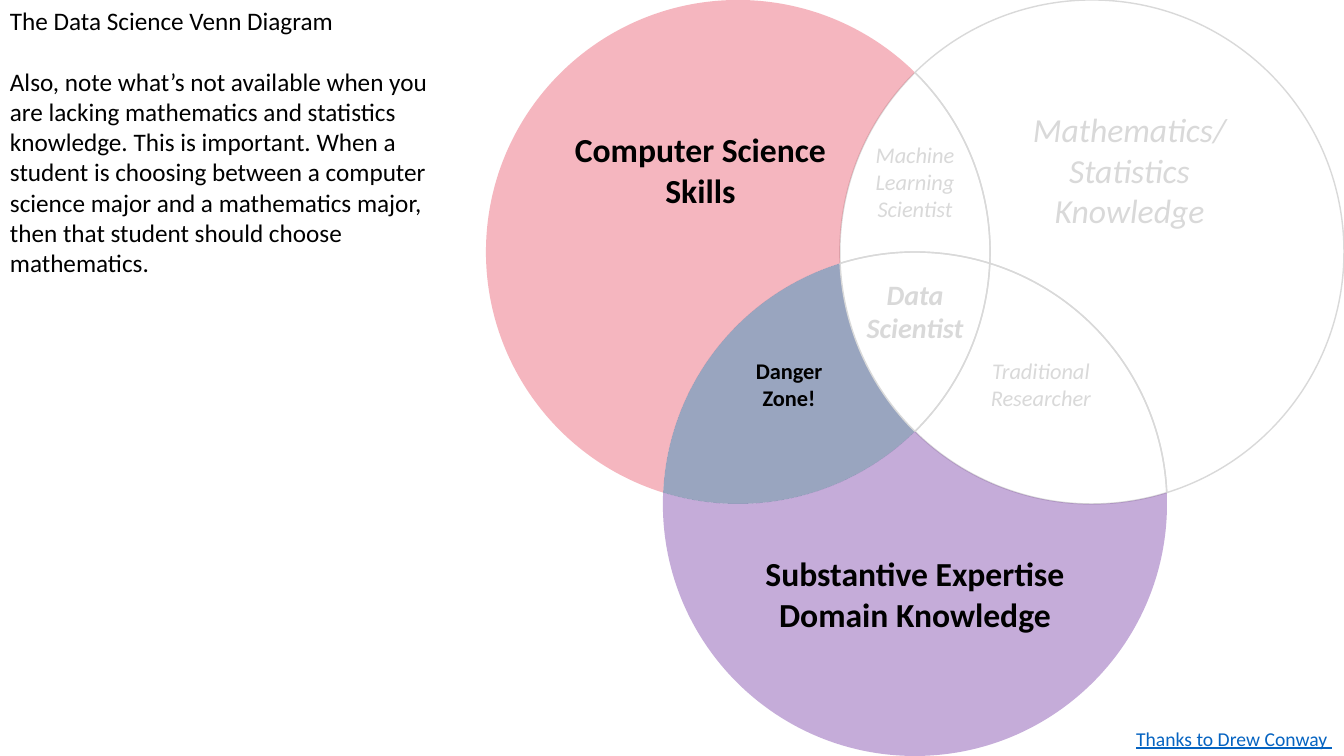
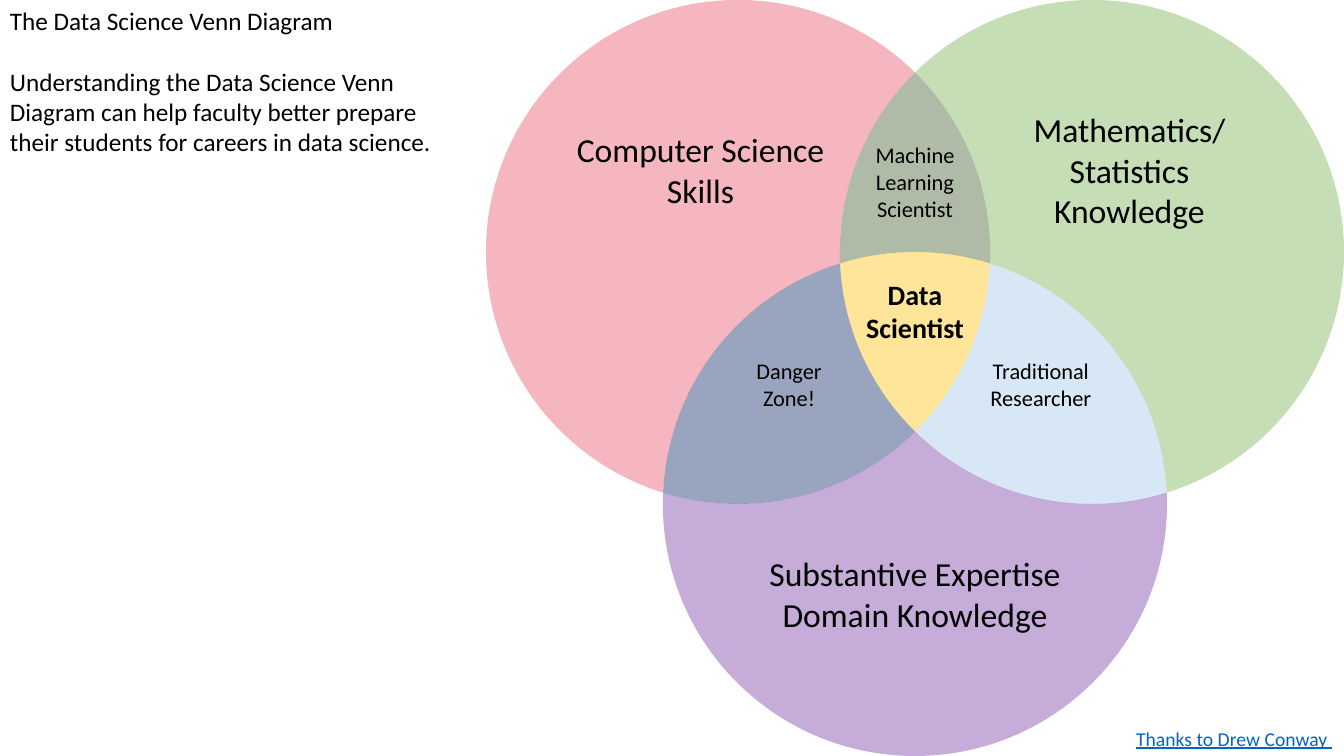
from collections import namedtuple
from itertools import pairwise
from math import atan2, cos, hypot, pi, sin, sqrt, tan

from lxml.etree import SubElement
from pptx import Presentation
from pptx.dml.color import RGBColor
from pptx.enum.text import MSO_ANCHOR as Anchor, PP_ALIGN as Align
from pptx.oxml.ns import qn
from pptx.util import Inches, Pt

FONT = "Calibri"
COLORS = {
    "text": "000000",
    "faded": "D9D9D9",
    "link": "0563C1",
    "machine": "385723",
    "research": "9DC3E6",
    "danger": "002060",
    "computing": "E64A60",
    "mathematics": "70AD47",
    "data": "FFC000",
    "domain": "7030A0",
}
OPACITY = 40
CLOCKWISE, COUNTER = 1, -1

Box = namedtuple("Box", "left top width height")
Region = namedtuple("Region", "name lines size arcs above below bold",
                    defaults=(0, 0, False))

DIAGRAM = Box(4.82, 0, 8.51, 7.5)
CREDIT = Box(11.17, 7.16, 2.16, 0.34)

# Each arc: starting corner, circle it follows, direction; it ends where the next starts.
REGIONS = [
    Region("machine", ["Machine", "Learning", "Scientist"], 16,
           [("top", "left", CLOCKWISE), ("inner right", "bottom", COUNTER),
            ("inner left", "right", CLOCKWISE)], above=0.27),
    Region("research", ["Traditional", "Researcher"], 16,
           [("inner right", "bottom", CLOCKWISE), ("outer right", "right", CLOCKWISE),
            ("inner bottom", "left", COUNTER)]),
    Region("danger", ["Danger", "Zone!"], 16,
           [("inner left", "right", COUNTER), ("inner bottom", "left", CLOCKWISE),
            ("outer left", "bottom", CLOCKWISE)]),
    Region("computing", ["Computer Science", "Skills"], 24,
           [("outer left", "left", CLOCKWISE), ("top", "right", COUNTER),
            ("inner left", "bottom", COUNTER)], below=1.52),
    Region("mathematics", ["Mathematics/", "Statistics", "Knowledge"], 24,
           [("top", "right", CLOCKWISE), ("outer right", "bottom", COUNTER),
            ("inner right", "left", COUNTER)], below=1.52),
    Region("data", ["Data", "Scientist"], 20,
           [("inner left", "bottom", CLOCKWISE), ("inner right", "left", CLOCKWISE),
            ("inner bottom", "right", CLOCKWISE)], below=0.61, bold=True),
    Region("domain", ["Substantive Expertise", "Domain Knowledge"], 24,
           [("inner bottom", "right", COUNTER), ("outer right", "bottom", CLOCKWISE),
            ("outer left", "left", COUNTER)]),
]
ALL_REGIONS = {region.name for region in REGIONS}


def rgb(name):
    return RGBColor.from_string(COLORS[name])


def add_text(para, text, size, color="text", bold=False, italic=False, underline=False):
    span = para.add_run()
    span.text = text
    font = span.font
    font.name, font.size = FONT, Pt(size)
    font.bold, font.italic, font.underline = bold, italic, underline
    font.color.rgb = rgb(color)


def add_text_box(page, box, wrap=True):
    frame = page.shapes.add_textbox(*(Inches(length) for length in box)).text_frame
    frame.word_wrap = wrap
    return frame


def crossings(first, second, radius):
    """Return the inner and outer crossing of two circles taken in clockwise order."""
    dx, dy = second[0] - first[0], second[1] - first[1]
    distance = hypot(dx, dy)
    reach = sqrt(radius ** 2 - distance ** 2 / 4) / distance
    middle_x, middle_y = (first[0] + second[0]) / 2, (first[1] + second[1]) / 2
    return [(middle_x - side * reach * dy, middle_y + side * reach * dx)
            for side in (1, -1)]


def venn_geometry(box):
    """Return radius, circle centres and named corners of three circles filling the box."""
    radius = box.height / 3
    upper = box.top + radius
    centers = {
        "left": (box.left + radius, upper),
        "right": (box.left + box.width - radius, upper),
        "bottom": (box.left + box.width / 2, box.top + 2 * radius),
    }
    left, right, bottom = centers.values()
    corners = {}
    for inner, outer, pair in (("inner bottom", "top", (left, right)),
                               ("inner left", "outer right", (right, bottom)),
                               ("inner right", "outer left", (bottom, left))):
        corners[inner], corners[outer] = crossings(*pair, radius)
    return radius, centers, corners


def arc_controls(center, radius, start, end, direction):
    """Return Bezier points, three a curve, for an arc cut at each quarter turn.

    The cuts keep every control point inside the bounds of the arc.
    """
    first, last = (atan2(y - center[1], x - center[0]) for x, y in (start, end))
    last = first + direction * ((last - first) * direction % (2 * pi))
    low, high = sorted((first, last))
    quarters = [turn * pi / 2 for turn in range(-8, 9) if low < turn * pi / 2 < high]
    angles = sorted([first, *quarters, last], reverse=direction == COUNTER)
    controls = []
    for begin, finish in pairwise(angles):
        handle = 4 / 3 * tan((finish - begin) / 4)
        for angle, pull in ((begin, handle), (finish, -handle), (finish, 0)):
            controls.append((center[0] + radius * (cos(angle) - pull * sin(angle)),
                             center[1] + radius * (sin(angle) + pull * cos(angle))))
    return controls


def outline(region, geometry):
    radius, centers, corners = geometry
    points = [corners[region.arcs[0][0]]]
    following = region.arcs[1:] + region.arcs[:1]
    for (start, circle, direction), (end, *_) in zip(region.arcs, following):
        points += arc_controls(centers[circle], radius, corners[start], corners[end],
                               direction)
    return [(Inches(x), Inches(y)) for x, y in points]


def bend_segments(shape):
    """Turn each three straight segments of a freeform into one cubic curve."""
    segments = list(shape._element.iter(qn("a:lnTo")))
    for triple in zip(*[iter(segments)] * 3):
        parent = triple[0].getparent()
        curve = SubElement(parent, qn("a:cubicBezTo"))
        triple[0].addprevious(curve)
        for segment in triple:
            curve.append(segment[0])
            parent.remove(segment)


def add_region(page, region, geometry, active, strong):
    points = outline(region, geometry)
    builder = page.shapes.build_freeform(*points[0])
    builder.add_line_segments(points[1:], close=True)
    shape = builder.convert_to_shape()
    bend_segments(shape)
    shape.shadow.inherit = False
    if active:
        shape.fill.solid()
        shape.fill.fore_color.rgb = rgb(region.name)
        color = shape._element.spPr.find(qn("a:solidFill"))[0]
        SubElement(color, qn("a:alpha"), val=str(OPACITY * 1000))
        shape.line.fill.background()
    else:
        shape.fill.background()
        shape.line.color.rgb = rgb("faded")
        shape.line.width = Pt(1)

    frame = shape.text_frame
    frame.word_wrap = True
    frame.vertical_anchor = Anchor.MIDDLE
    frame.margin_top = Inches(0.05 + region.above)
    frame.margin_bottom = Inches(0.05 + region.below)
    for index, line in enumerate(region.lines):
        para = frame.add_paragraph() if index else frame.paragraphs[0]
        para.alignment = Align.CENTER
        add_text(para, line, region.size, "text" if active else "faded",
                 bold=region.bold or (active and strong), italic=not active)


def add_note(page, box, note):
    frame = add_text_box(page, box)
    heading = frame.paragraphs[0]
    heading.space_after = Pt(22)
    add_text(heading, "The Data Science Venn Diagram", 18)
    add_text(frame.add_paragraph(), note, 18)


def add_credit(page, box):
    frame = add_text_box(page, box, wrap=False)
    add_text(frame.paragraphs[0], "Thanks to Drew Conway ", 14, "link", underline=True)


def add_venn_page(deck, note, note_height, active=ALL_REGIONS, strong=False):
    """Add a page; regions outside active are faded, strong sets the active ones bold."""
    page = deck.slides.add_slide(deck.slide_layouts[6])
    geometry = venn_geometry(DIAGRAM)
    for region in REGIONS:
        add_region(page, region, geometry, region.name in active, strong)
    add_note(page, Box(0, 0, 4.42, note_height), note)
    add_credit(page, CREDIT)


def main():
    deck = Presentation()
    deck.slide_width, deck.slide_height = Inches(13.33), Inches(7.5)
    add_venn_page(
        deck,
        "Also, note what’s not available when you are lacking mathematics and statistics "
        "knowledge. This is important. When a student is choosing between a computer "
        "science major and a mathematics major, then that student should choose "
        "mathematics.",
        2.83, active={"computing", "danger", "domain"}, strong=True)
    add_venn_page(
        deck,
        "Understanding the Data Science Venn Diagram can help faculty better prepare "
        "their students for careers in data science.",
        1.62)
    deck.save("out.pptx")


if __name__ == "__main__":
    main()
